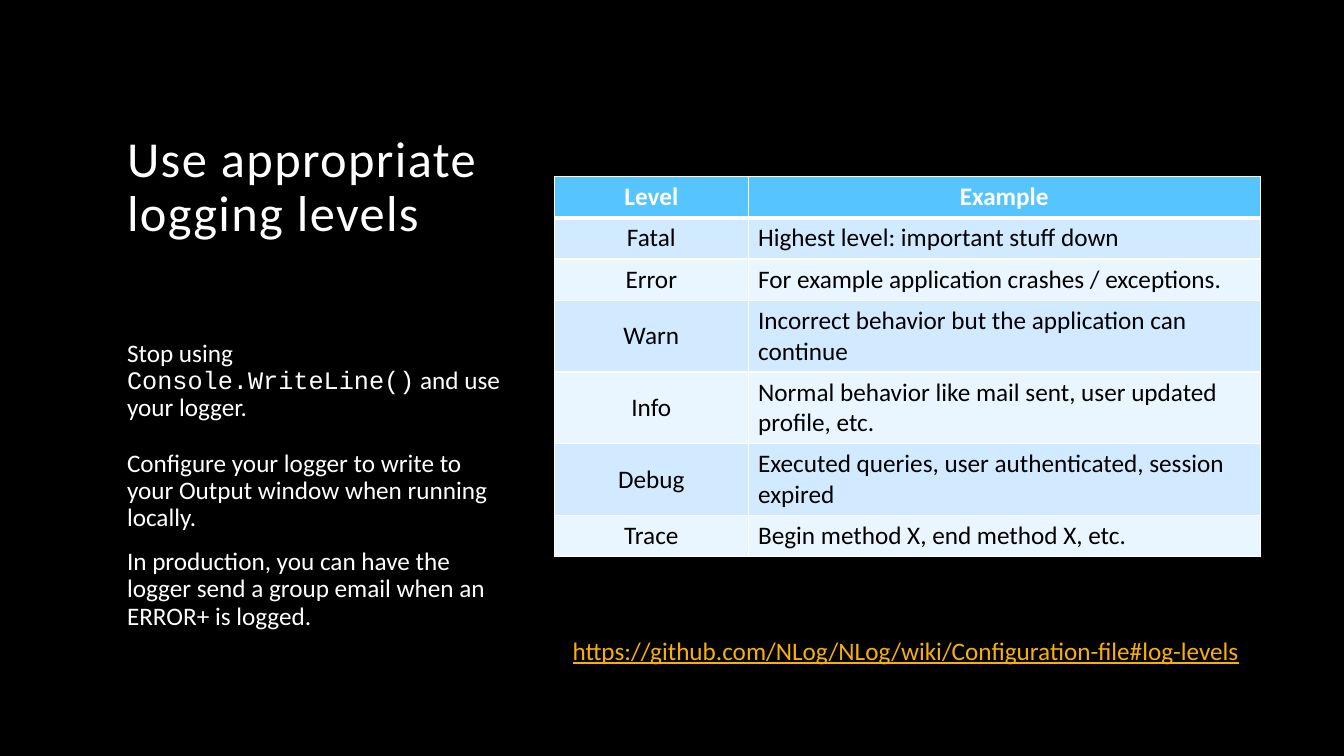
"""Build a slide on logging levels with a table of examples."""
from lxml.etree import SubElement
from pptx import Presentation
from pptx.dml.color import RGBColor
from pptx.enum.text import MSO_ANCHOR, MSO_AUTO_SIZE, PP_ALIGN
from pptx.oxml.ns import qn
from pptx.util import Inches, Pt


def paint(font, tone, size=18, face="Calibri", bold=False):
    font.name, font.size, font.bold = face, Pt(size), bold
    font.color.rgb = RGBColor.from_string(tone)


def place(shape, left, top, width, height):
    shape.left, shape.top = Inches(left), Inches(top)
    shape.width, shape.height = Inches(width), Inches(height)
    frame = shape.text_frame
    frame.word_wrap = True
    frame.auto_size = MSO_AUTO_SIZE.NONE
    return frame


deck = Presentation()
deck.slide_width, deck.slide_height = Inches(13.33), Inches(7.5)
slide = deck.slides.add_slide(deck.slide_layouts[1])
back = slide.background.fill
back.solid()
back.fore_color.rgb = RGBColor.from_string("000000")

title = place(slide.shapes.title, 1.16, 1.04, 3.93, 1.42)
title.vertical_anchor = MSO_ANCHOR.BOTTOM
para = title.paragraphs[0]
para.alignment = PP_ALIGN.LEFT
para.line_spacing = 0.9
run = para.add_run()
run.text = "Use appropriate logging levels"
paint(run.font, "FFFFFF", 36)
run.font._element.set("spc", "100")

notes = [
    (0, [("Stop using ", "Calibri"), ("Console.WriteLine()", "Courier New"),
         (" and use your logger.", "Calibri")]),
    (20, [("Configure your logger to write to your Output window when "
           "running locally.", "Calibri")]),
    (12, [("In production, you can have the logger send a group email when "
           "an ERROR+ is logged.", "Calibri")]),
]
body = place(slide.placeholders[1], 1.16, 3.33, 3.92, 3.25)
for num, (gap, runs) in enumerate(notes):
    para = body.add_paragraph() if num else body.paragraphs[0]
    props = para._p.get_or_add_pPr()
    props.set("marL", "0")
    props.set("indent", "0")
    SubElement(props, qn("a:buNone"))
    para.line_spacing = 0.9
    para.space_before = Pt(gap)
    for words, face in runs:
        run = para.add_run()
        run.text = words
        paint(run.font, "FFFFFF", face=face)

rows = [
    ("Level", "Example", 0.41),
    ("Fatal", "Highest level: important stuff down", 0.41),
    ("Error", "For example application crashes / exceptions.", 0.41),
    ("Warn", "Incorrect behavior but the application can continue", 0.71),
    ("Info", "Normal behavior like mail sent, user updated profile, etc.", 0.71),
    ("Debug", "Executed queries, user authenticated, session expired", 0.71),
    ("Trace", "Begin method X, end method X, etc.", 0.41),
]
high = sum(row[2] for row in rows)
table = slide.shapes.add_table(len(rows), 2, Inches(5.5), Inches(1.75),
                               Inches(7), Inches(high)).table
for col, width in zip(table.columns, (1.92, 5.08)):
    col.width = Inches(width)
for r, (level, sample, tall) in enumerate(rows):
    table.rows[r].height = Inches(tall)
    head = r == 0
    fill = "56C5FF" if head else ("E9F5FF", "D1EAFF")[r % 2]
    for c, words in enumerate((level, sample)):
        cell = table.cell(r, c)
        cell.vertical_anchor = MSO_ANCHOR.MIDDLE
        props = cell._tc.get_or_add_tcPr()
        for side in "LRTB":
            thick = (r, side) in ((0, "B"), (1, "T"))
            line = SubElement(props, qn("a:ln" + side),
                              w=str(Pt(3 if thick else 1)))
            solid = SubElement(line, qn("a:solidFill"))
            SubElement(solid, qn("a:srgbClr"), val="FFFFFF")
        cell.fill.solid()
        cell.fill.fore_color.rgb = RGBColor.from_string(fill)
        para = cell.text_frame.paragraphs[0]
        para.alignment = PP_ALIGN.CENTER if head or c == 0 else PP_ALIGN.LEFT
        run = para.add_run()
        run.text = words
        paint(run.font, "FFFFFF" if head else "000000", bold=head)

box = slide.shapes.add_textbox(0, 0, 0, 0)
link = place(box, 5.58, 6.25, 7.08, 0.4)
run = link.paragraphs[0].add_run()
run.text = "https://github.com/NLog/NLog/wiki/Configuration-file#log-levels"
paint(run.font, "F8B004")
run.font.underline = True

deck.save("out.pptx")
